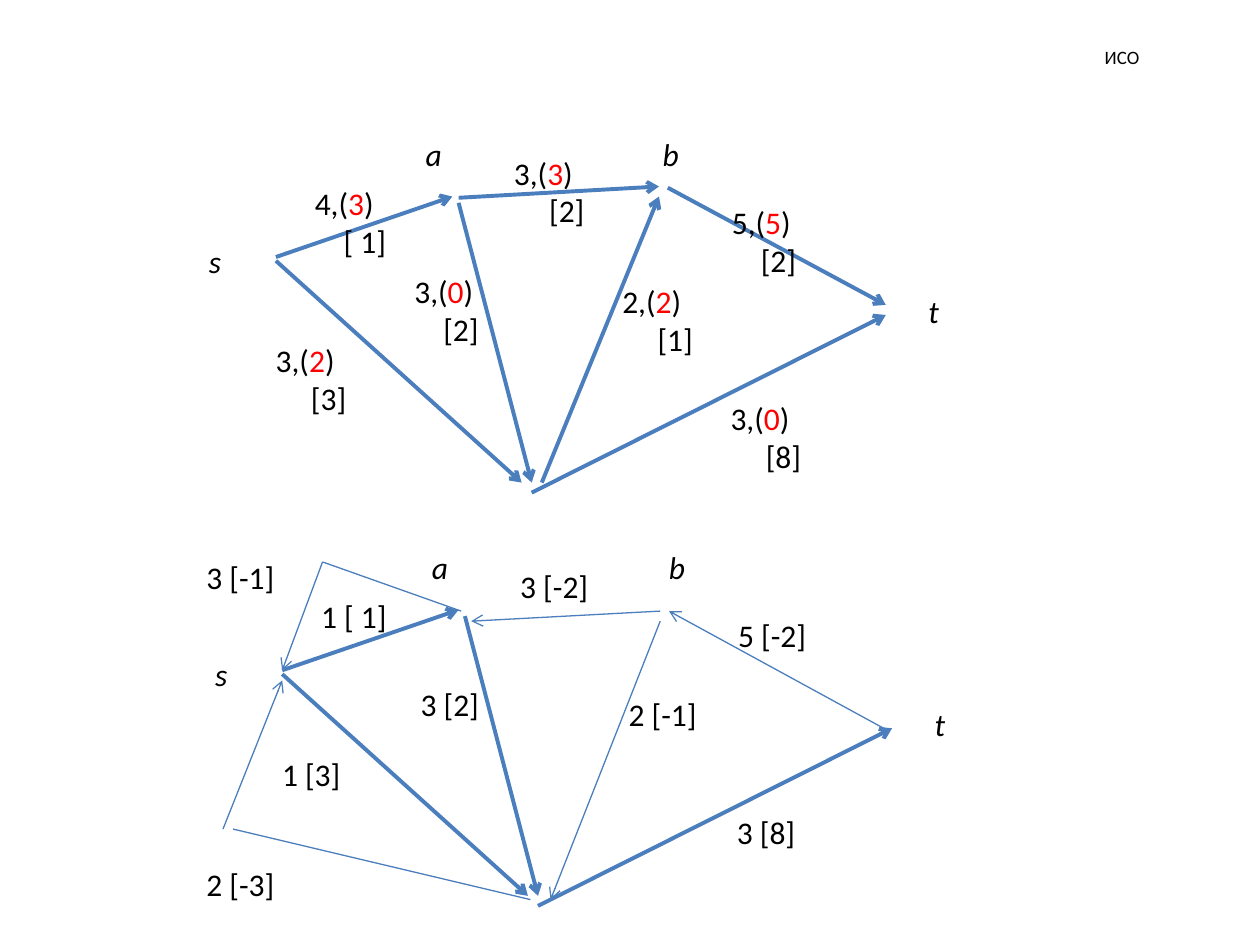
from collections import namedtuple
from dataclasses import dataclass

from lxml.etree import SubElement
from pptx import Presentation
from pptx.dml.color import RGBColor
from pptx.enum.shapes import MSO_CONNECTOR
from pptx.enum.text import MSO_ANCHOR, MSO_AUTO_SIZE, PP_ALIGN
from pptx.oxml.ns import qn
from pptx.util import Inches, Pt


@dataclass(frozen=True)
class Theme:
    font: str = "Calibri"
    ink: RGBColor = RGBColor(0x00, 0x00, 0x00)
    flow: RGBColor = RGBColor(0xFF, 0x00, 0x00)
    edge: RGBColor = RGBColor(0x4B, 0x7E, 0xBC)
    title_size: float = 10.8
    label_size: float = 18
    forward_width: float = 2.25
    reverse_width: float = 0.75


THEME = Theme()

# The slide is a grid of 100 columns by 75 rows; all places count in its cells.
COLUMNS, ROWS = 100, 75
CELL = Inches(0.1)
LABEL_ROWS, TWO_LINE_ROWS = 4, 7.1
RESIDUAL_SHIFT = (0.5, 32.8)

# label is (column, row, columns); indent sets in the cost line;
# forward tells whether the edge remains in the residual network.
Edge = namedtuple("Edge", "start end label capacity flow cost indent residual forward")
EDGES = [
    Edge((21.9, 20.4), (35.9, 15.6), (24, 14.1, 8), 4, 3, "[ 1]", 2.3, "1 [ 1]", True),
    Edge((36.4, 15.7), (52.3, 14.8), (39.8, 11.7, 7.9), 3, 3, "[2]", 2.8, "3 [-2]", False),
    Edge((21.9, 20.7), (41.4, 38.3), (20.9, 26.6, 8), 3, 2, "[3]", 2.8, "1 [3]", True),
    Edge((53, 14.9), (70.3, 24.2), (57.1, 15.6, 7.8), 5, 5, "[2]", 2.3, "5 [-2]", False),
    Edge((42.2, 39.1), (70.3, 25), (57, 31.2, 8.7), 3, 0, "[8]", 2.8, "3 [8]", True),
    Edge((36.4, 16.1), (42.2, 38.3), (31.9, 21.1, 8), 3, 0, "[2]", 2.3, "3 [2]", True),
    Edge((43, 38.3), (52.3, 15.6), (48.4, 21.9, 7.9), 2, 2, "[1]", 2.8, "2 [-1]", False),
]
NODES = {"s": (15.6, 18.7), "a": (32.8, 10.2), "b": (51.6, 10.2), "t": (72.7, 22.7)}
REVERSE_PATHS = [
    [(70.5, 58), (53.1, 48.5)],
    [(52.4, 48.5), (37.4, 49.3)],
    [(52.4, 49.3), (43.7, 71.4)],
    [(36.6, 48.5), (25.6, 44.6), (22.4, 53.2)],
]
RETURN_TO_S = [[(42.1, 71.4), (18.5, 65.8)], [(17.7, 65.8), (22.4, 54)]]
REVERSE_LABELS = {"3 [-1]": (15.4, 43.8), "2 [-3]": (15.4, 68.2)}


def cells(*counts):
    return [round(count * CELL) for count in counts]


def shifted(point, shift):
    return point[0] + shift[0], point[1] + shift[1]


def add_line(page, start, end, width, arrow=True):
    line = page.shapes.add_connector(MSO_CONNECTOR.STRAIGHT, *cells(*start, *end))
    line.line.color.rgb = THEME.edge
    line.line.width = Pt(width)
    if arrow:
        SubElement(line.line._get_or_add_ln(), qn("a:tailEnd"), type="arrow")
    SubElement(line._element.spPr, qn("a:effectLst"))


def add_box(page, place, columns, rows):
    box = page.shapes.add_textbox(*cells(*place, columns, rows))
    box.text_frame.word_wrap = True
    box.text_frame.auto_size = MSO_AUTO_SIZE.SHAPE_TO_FIT_TEXT
    return box.text_frame


def add_span(para, text, color=THEME.ink, size=THEME.label_size, italic=False):
    span = para.add_run()
    span.text = text
    span.font.name = THEME.font
    span.font.size = Pt(size)
    span.font.color.rgb = color
    span.font.italic = italic


def add_title(page, text):
    frame = add_box(page, (83.1, 3), 11.9, 3)
    frame.auto_size = MSO_AUTO_SIZE.NONE
    frame.vertical_anchor = MSO_ANCHOR.MIDDLE
    frame.paragraphs[0].alignment = PP_ALIGN.CENTER
    add_span(frame.paragraphs[0], text, size=THEME.title_size)


def add_label(page, text, place, columns, italic=False):
    frame = add_box(page, place, columns, LABEL_ROWS)
    add_span(frame.paragraphs[0], text, italic=italic)


def add_flow_label(page, edge):
    """Capacity with the flow in brackets, and the unit cost set in below."""
    *place, columns = edge.label
    frame = add_box(page, place, columns, TWO_LINE_ROWS)
    para = frame.paragraphs[0]
    add_span(para, f"{edge.capacity},(")
    add_span(para, str(edge.flow), THEME.flow)
    add_span(para, ")")
    cost = frame.add_paragraph()
    cost._p.get_or_add_pPr().set("marL", str(cells(edge.indent)[0]))
    add_span(cost, edge.cost)


def add_nodes(page, shift=(0, 0)):
    for name, place in NODES.items():
        add_label(page, name, shifted(place, shift), 3.9, italic=True)


def add_flow_network(page):
    for edge in EDGES:
        add_line(page, edge.start, edge.end, THEME.forward_width)
    add_nodes(page)
    for edge in EDGES:
        add_flow_label(page, edge)


def add_residual_network(page):
    for edge in EDGES:
        if edge.forward:
            add_line(page, shifted(edge.start, RESIDUAL_SHIFT),
                     shifted(edge.end, RESIDUAL_SHIFT), THEME.forward_width)
    add_nodes(page, RESIDUAL_SHIFT)
    for edge in EDGES:
        *place, columns = edge.label
        add_label(page, edge.residual, shifted(place, RESIDUAL_SHIFT), columns)
    for path in REVERSE_PATHS:
        add_reverse_path(page, path)
    add_reverse_path(page, RETURN_TO_S[0], arrow=False)
    add_reverse_path(page, RETURN_TO_S[1])
    for text, place in REVERSE_LABELS.items():
        add_label(page, text, place, 8)


def add_reverse_path(page, points, arrow=True):
    """A thin line through the points, with an arrowhead on its last part only."""
    for start, end in zip(points, points[1:]):
        add_line(page, start, end, THEME.reverse_width, arrow and end == points[-1])


def main():
    deck = Presentation()
    deck.slide_width, deck.slide_height = cells(COLUMNS, ROWS)
    page = deck.slides.add_slide(deck.slide_layouts[6])
    add_title(page, "ИСО")
    add_flow_network(page)
    add_residual_network(page)
    deck.save("out.pptx")


if __name__ == "__main__":
    main()
